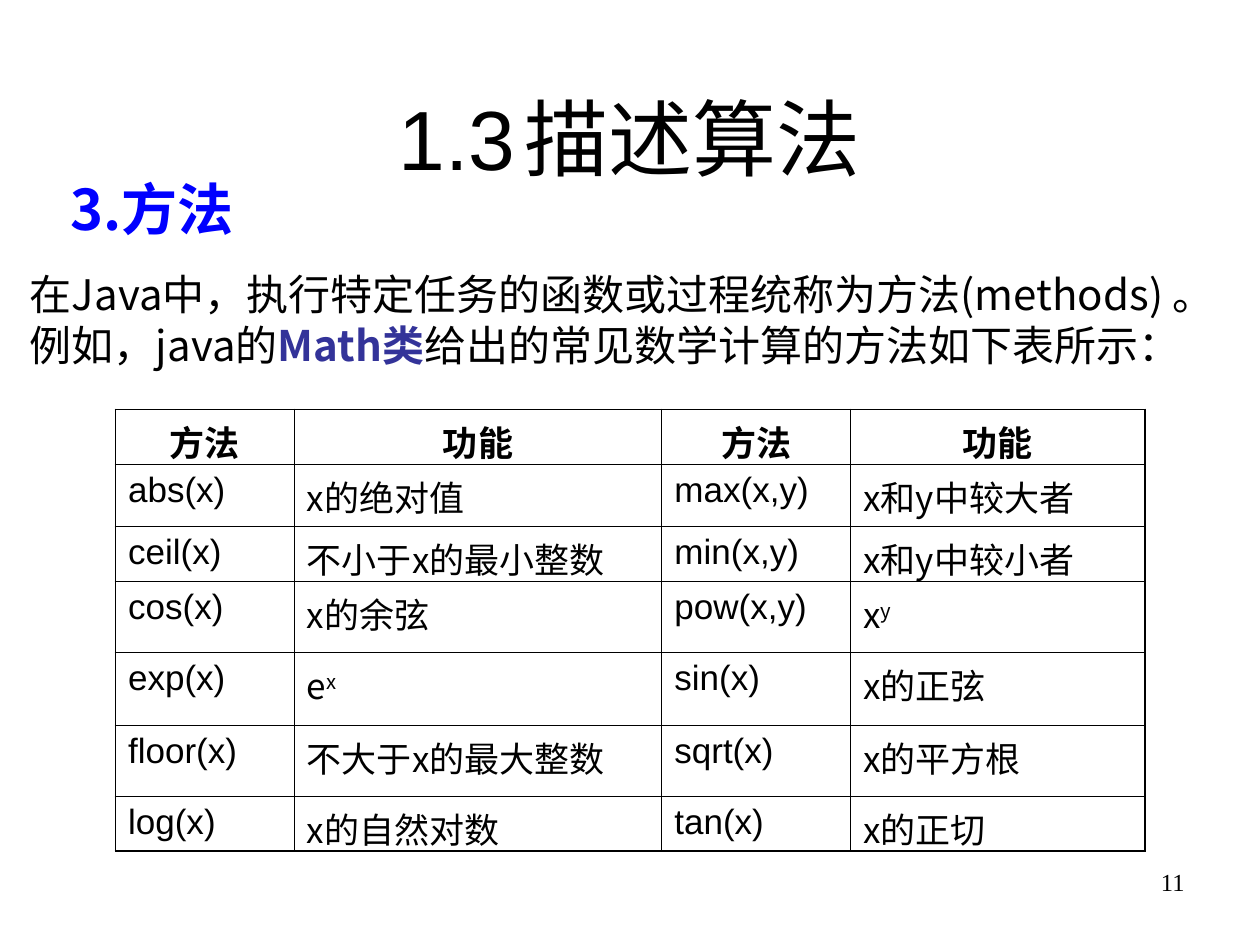
import pptx
import pptx.dml.color
import pptx.enum.text
import pptx.oxml.ns
import pptx.util
import lxml.etree
from dataclasses import dataclass

Pt = pptx.util.Pt
Align = pptx.enum.text.PP_ALIGN
Anchor = pptx.enum.text.MSO_ANCHOR
AutoSize = pptx.enum.text.MSO_AUTO_SIZE
qn = pptx.oxml.ns.qn


@dataclass(frozen=True)
class Theme:
    black: str = "000000"
    blue: str = "0000FF"
    indigo: str = "333399"
    latin: str = "Arial"
    han: str = "Noto Sans CJK SC"
    serif: str = "Times New Roman"
    title: int = 48
    heading: int = 32
    body: int = 24
    cell: int = 20
    number: int = 14
    space_before: int = 5
    inner_line: float = 0.45
    outer_line: float = 1.08


class SlideBuilder:
    def __init__(self, page, theme):
        self.page = page
        self.theme = theme

    def span(self, para, text, size, font=None, color=None, bold=False, raised=False):
        span = para.add_run()
        span.text = text
        span.font.size = Pt(size)
        span.font.bold = bold
        span.font.color.rgb = pptx.dml.color.RGBColor.from_string(color or self.theme.black)
        span.font.name = font or self.theme.han
        properties = span._r.get_or_add_rPr()
        lxml.etree.SubElement(properties, qn("a:ea"), typeface=self.theme.han)
        if raised:
            properties.set("baseline", "30000")

    def text(self, left, top, width, height, paragraphs, align=Align.LEFT,
             anchor=Anchor.TOP, wrap=True):
        """Each paragraph is a list of keyword sets, one for each run."""
        box = self.page.shapes.add_textbox(Pt(left), Pt(top), Pt(width), Pt(height))
        frame = box.text_frame
        frame.word_wrap = wrap
        frame.auto_size = AutoSize.NONE if wrap else AutoSize.SHAPE_TO_FIT_TEXT
        frame.vertical_anchor = anchor
        for index, spans in enumerate(paragraphs):
            para = frame.add_paragraph() if index else frame.paragraphs[0]
            para.alignment = align
            for span in spans:
                self.span(para, **span)

    def border(self, cell, side, width):
        line = lxml.etree.SubElement(cell._tc.get_or_add_tcPr(), qn("a:ln" + side),
                                     w=str(int(Pt(width))))
        fill = lxml.etree.SubElement(line, qn("a:solidFill"))
        lxml.etree.SubElement(fill, qn("a:srgbClr"), val=self.theme.black)

    def table(self, left, top, widths, heights, rows):
        """A cell is a text, or a pair of base and exponent."""
        theme = self.theme
        table = self.page.shapes.add_table(
            len(heights), len(widths), Pt(left), Pt(top),
            Pt(sum(widths)), Pt(sum(heights))).table
        table.first_row = table.horz_banding = False
        for column, width in zip(table.columns, widths):
            column.width = Pt(width)
        for row, height in zip(table.rows, heights):
            row.height = Pt(height)

        for r, row in enumerate(rows):
            for c, content in enumerate(row):
                cell = table.cell(r, c)
                edges = {"L": c == 0, "R": c == len(widths) - 1,
                         "T": r == 0, "B": r == len(heights) - 1}
                for side, outer in edges.items():
                    self.border(cell, side, theme.outer_line if outer else theme.inner_line)
                cell.fill.background()
                header = r == 0
                para = cell.text_frame.paragraphs[0]
                para.alignment = Align.CENTER if header else Align.JUSTIFY
                para.space_before = Pt(theme.space_before)
                font = theme.latin if header or c % 2 == 0 else theme.han
                parts = (content,) if isinstance(content, str) else content
                for index, part in enumerate(parts):
                    self.span(para, part, theme.cell, font, bold=header, raised=index > 0)


theme = Theme()
deck = pptx.Presentation()
deck.slide_width, deck.slide_height = Pt(720), Pt(540)
page = deck.slides.add_slide(deck.slide_layouts[6])
builder = SlideBuilder(page, theme)

# Title and section heading
builder.text(54, 42, 612, 72,
             [[dict(text="1.3\t描述算法", size=theme.title, font=theme.latin)]],
             Align.CENTER, Anchor.MIDDLE)
builder.text(33, 96, 119.5, 46, [[
    dict(text="3.方法", size=theme.heading, color=theme.blue, bold=True),
    dict(text=" ", size=18, font=theme.latin, color=theme.indigo),
]], wrap=False)

# Introduction
builder.text(10, 150, 733, 65, [
    [dict(text="在Java中，执行特定任务的函数或过程统称为方法(methods) ", size=theme.body),
     dict(text="。", size=theme.body, font=theme.latin)],
    [dict(text="例如，java的", size=theme.body),
     dict(text="Math类", size=theme.body, color=theme.indigo, bold=True),
     dict(text="给出的常见数学计算的方法如下表所示：", size=theme.body)],
], wrap=False)

# Table of methods
builder.table(66, 234, [102.2, 210, 108, 168], [31.5, 35.5, 31.5, 40.5, 41.5, 40.5, 31.5], [
    ["方法", "功能", "方法", "功能"],
    ["abs(x)", "x的绝对值", "max(x,y)", "x和y中较大者"],
    ["ceil(x)", "不小于x的最小整数", "min(x,y)", "x和y中较小者"],
    ["cos(x)", "x的余弦", "pow(x,y)", ("x", "y")],
    ["exp(x)", ("e", "x"), "sin(x)", "x的正弦"],
    ["floor(x)", "不大于x的最大整数", "sqrt(x)", "x的平方根"],
    ["log(x)", "x的自然对数", "tan(x)", "x的正切"],
])

# Page number
builder.text(516, 492, 168, 37.5,
             [[dict(text="11", size=theme.number, font=theme.serif)]], Align.RIGHT)

deck.save("out.pptx")
